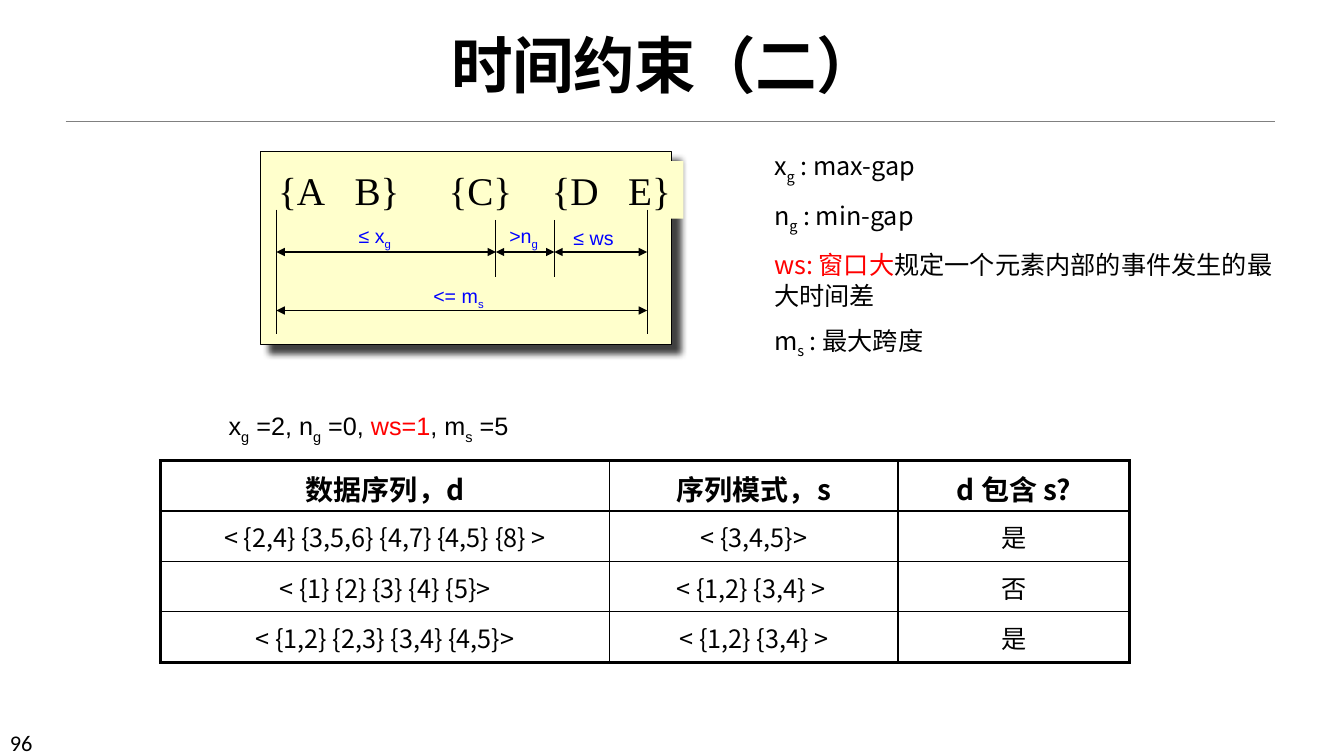
from dataclasses import dataclass
from typing import NamedTuple, Optional

from lxml.etree import SubElement
from pptx import Presentation
from pptx.dml.color import RGBColor
from pptx.enum.shapes import MSO_CONNECTOR, MSO_SHAPE
from pptx.enum.text import MSO_ANCHOR, MSO_AUTO_SIZE, PP_ALIGN
from pptx.oxml import parse_xml
from pptx.oxml.ns import nsdecls, qn
from pptx.util import Pt

BLACK, BLUE, RED, CREAM = "000000", "0000FF", "FF0000", "FFFFCC"
SANS, KOREAN = "Noto Sans CJK SC", "Noto Sans CJK KR"


class Bit(NamedTuple):
    text: str
    hue: str = BLACK
    low: bool = False
    face: Optional[str] = None


@dataclass
class Box:
    left: float
    top: float
    width: float
    height: float
    lines: list[list[Bit]]
    size: float
    face: str
    fill: Optional[str] = None
    wrap: bool = True
    grow: bool = False
    before: float = 0
    after: float = 0


class Line(NamedTuple):
    x1: float
    y1: float
    x2: float
    y2: float
    arrow: bool = False
    hue: str = BLACK
    weight: float = 0.75


def color(code: str) -> RGBColor:
    return RGBColor.from_string(code)


def style(run, size: float, face: str, bit: Bit, bold: bool = False) -> None:
    font = run.font
    font.size, font.name, font.bold = Pt(size), face, bold
    font.color.rgb = color(bit.hue)
    props = run._r.get_or_add_rPr()
    SubElement(props, qn("a:ea")).set("typeface", face)
    if bit.low:
        props.set("baseline", "-25000")


def add_box(slide, box: Box):
    shape = slide.shapes.add_textbox(
        Pt(box.left), Pt(box.top), Pt(box.width), Pt(box.height))
    if box.fill:
        shape.fill.solid()
        shape.fill.fore_color.rgb = color(box.fill)
    frame = shape.text_frame
    frame.word_wrap = box.wrap
    frame.auto_size = (MSO_AUTO_SIZE.SHAPE_TO_FIT_TEXT if box.grow
                       else MSO_AUTO_SIZE.NONE)
    for i, bits in enumerate(box.lines):
        para = frame.add_paragraph() if i else frame.paragraphs[0]
        para.space_before = Pt(box.before if i else 0)
        para.space_after = Pt(box.after)
        for bit in bits:
            run = para.add_run()
            run.text = bit.text
            style(run, box.size, bit.face or box.face, bit)
    return shape


def add_line(slide, line: Line) -> None:
    link = slide.shapes.add_connector(
        MSO_CONNECTOR.STRAIGHT, Pt(line.x1), Pt(line.y1), Pt(line.x2), Pt(line.y2))
    link.line.color.rgb = color(line.hue)
    link.line.width = Pt(line.weight)
    props = link.element.spPr
    if line.arrow:
        for end in ("a:headEnd", "a:tailEnd"):
            SubElement(props.find(qn("a:ln")), qn(end)).set("type", "triangle")
    SubElement(props, qn("a:effectLst"))


def add_card(slide) -> None:
    card = slide.shapes.add_shape(
        MSO_SHAPE.RECTANGLE, Pt(185.8), Pt(108), Pt(293.8), Pt(138.2))
    card.fill.solid()
    card.fill.fore_color.rgb = color(CREAM)
    card.line.color.rgb = color(BLACK)
    card.line.width = Pt(0.75)
    card.shadow.inherit = False
    card.element.spPr.find(qn("a:effectLst")).append(parse_xml(
        f'<a:outerShdw {nsdecls("a")} blurRad="{Pt(5)}" dist="{Pt(8.5)}" '
        'dir="2700000" algn="ctr" rotWithShape="0"><a:srgbClr val="000000">'
        '<a:alpha val="75000"/></a:srgbClr></a:outerShdw>'))


def add_tabs(para, stops: list[float]) -> None:
    tabs = SubElement(para._p.get_or_add_pPr(), qn("a:tabLst"))
    for stop in stops:
        tab = SubElement(tabs, qn("a:tab"))
        tab.set("pos", str(Pt(stop)))
        tab.set("algn", "l")


def add_grid(slide, rows: list[list[str]], widths: list[float]) -> None:
    """Draw the table with a thick outer frame and thin inner rules."""
    high, wide = len(rows), len(widths)
    table = slide.shapes.add_table(
        high, wide, Pt(114.5), Pt(329), Pt(sum(widths)), Pt(36 * high)).table
    table.first_row = table.horz_banding = False
    for c, width in enumerate(widths):
        table.columns[c].width = Pt(width)
    for r, row in enumerate(rows):
        table.rows[r].height = Pt(36)
        for c, text in enumerate(row):
            cell = table.cell(r, c)
            cell.fill.background()
            cell.margin_top, cell.margin_bottom = Pt(5.4), Pt(3)
            cell.text_frame.text = text
            para = cell.text_frame.paragraphs[0]
            para.alignment = PP_ALIGN.CENTER
            para.space_after = Pt(4)
            style(para.runs[0], 18 if r else 20, SANS, Bit(text), bold=r == 0)
            outer = {"L": c == 0, "R": c == wide - 1, "T": r == 0, "B": r == high - 1}
            for i, (side, thick) in enumerate(outer.items()):
                cell._tc.get_or_add_tcPr().insert(i, parse_xml(
                    f'<a:ln{side} {nsdecls("a")} w="{Pt(2.25 if thick else 1)}">'
                    f'<a:solidFill><a:srgbClr val="{BLACK}"/></a:solidFill></a:ln{side}>'))


def add_title(slide) -> None:
    title = add_box(slide, Box(27.4, 22.3, 895, 53.3, [[Bit("时间约束（二）")]], 44, SANS))
    title.text_frame.vertical_anchor = MSO_ANCHOR.BOTTOM
    para = title.text_frame.paragraphs[0]
    para.alignment = PP_ALIGN.CENTER
    para.line_spacing = 0.85
    run = para.runs[0]
    run.font.bold = True
    run._r.get_or_add_rPr().set("spc", "-50")


def add_label(slide, left: float, top: float, width: float, text: str, low: str) -> None:
    bits = [Bit(text, BLUE)] + ([Bit(low, BLUE, True)] if low else [])
    add_box(slide, Box(left, top, width, 24.5, [bits], 14, "Arial", CREAM, False, True))


def add_spans(slide) -> None:
    add_card(slide)
    head = add_box(slide, Box(191.5, 115.2, 296.6, 41, [[]], 28, "Times New Roman", CREAM))
    head.text_frame.margin_right = 0
    para = head.text_frame.paragraphs[0]
    add_tabs(para, [54.7, 121.8, 195.4, 250.1])
    para.text = "{A\tB}\t{C}\t{D\tE}"
    for run in para.runs:
        style(run, 28, "Times New Roman", Bit(run.text))
    for label in [(302.4, 199.4, 51, "<= m", "s"), (249.1, 156.2, 38.2, "≤ x", "g"),
                  (352.8, 156.2, 39.6, " >n", "g"), (402.5, 157.7, 43.2, "≤ ws", "")]:
        add_label(slide, *label)
    marks = [197.5, 354.2, 396, 462.2]
    first, last = marks[0], marks[-1]
    add_line(slide, Line(first, 221.8, last, 221.8, True))
    for start, end in zip(marks, marks[1:]):
        add_line(slide, Line(start, 180, end, 180, True))
    for x in marks:
        top, foot = (149.8, 238.3) if x in (first, last) else (157, 198)
        add_line(slide, Line(x, top, x, foot))


def main() -> None:
    deck = Presentation()
    deck.slide_width, deck.slide_height = Pt(960), Pt(540)
    slide = deck.slides.add_slide(deck.slide_layouts[6])
    add_line(slide, Line(46.8, 86.4, 910.8, 86.4, hue="808080", weight=0.5))
    add_box(slide, Box(0, 517, 84.2, 21.6, [[Bit("96")]], 16, "Calibri"))
    add_title(slide)
    add_spans(slide)
    gap, sub = Bit("g", low=True), Bit("s", low=True)
    notes = [[Bit("x"), gap, Bit(" : max-gap")],
             [Bit("n"), gap, Bit(" : min-gap")],
             [Bit("ws: 窗口大", RED),
              Bit("规定一个元素内部的事件发生的最大时间差", face=KOREAN)],
             [Bit("m"), sub, Bit(" : 最大跨度")]]
    add_box(slide, Box(545.8, 104, 383.8, 155.5, notes, 18, SANS,
                       grow=True, before=1.8, after=9))
    add_grid(slide, [["数据序列，d", "序列模式，s", "d 包含 s?"],
                     ["< {2,4} {3,5,6} {4,7} {4,5} {8} >", "< {3,4,5}>", "是"],
                     ["< {1} {2} {3} {4} {5}>", "< {1,2} {3,4} > ", "否"],
                     ["< {1,2} {2,3} {3,4} {4,5}>", "< {1,2} {3,4} >", "是"]],
             [321.1, 205.9, 165.6])
    limits = [Bit("x"), gap, Bit(" =2, n"), gap, Bit(" =0, "), Bit("ws=1", RED),
              Bit(", m"), sub, Bit(" =5")]
    add_box(slide, Box(156.2, 289.8, 617.8, 28.8, [limits], 18, "Arial", grow=True, after=9))
    deck.save("out.pptx")


if __name__ == "__main__":
    main()
